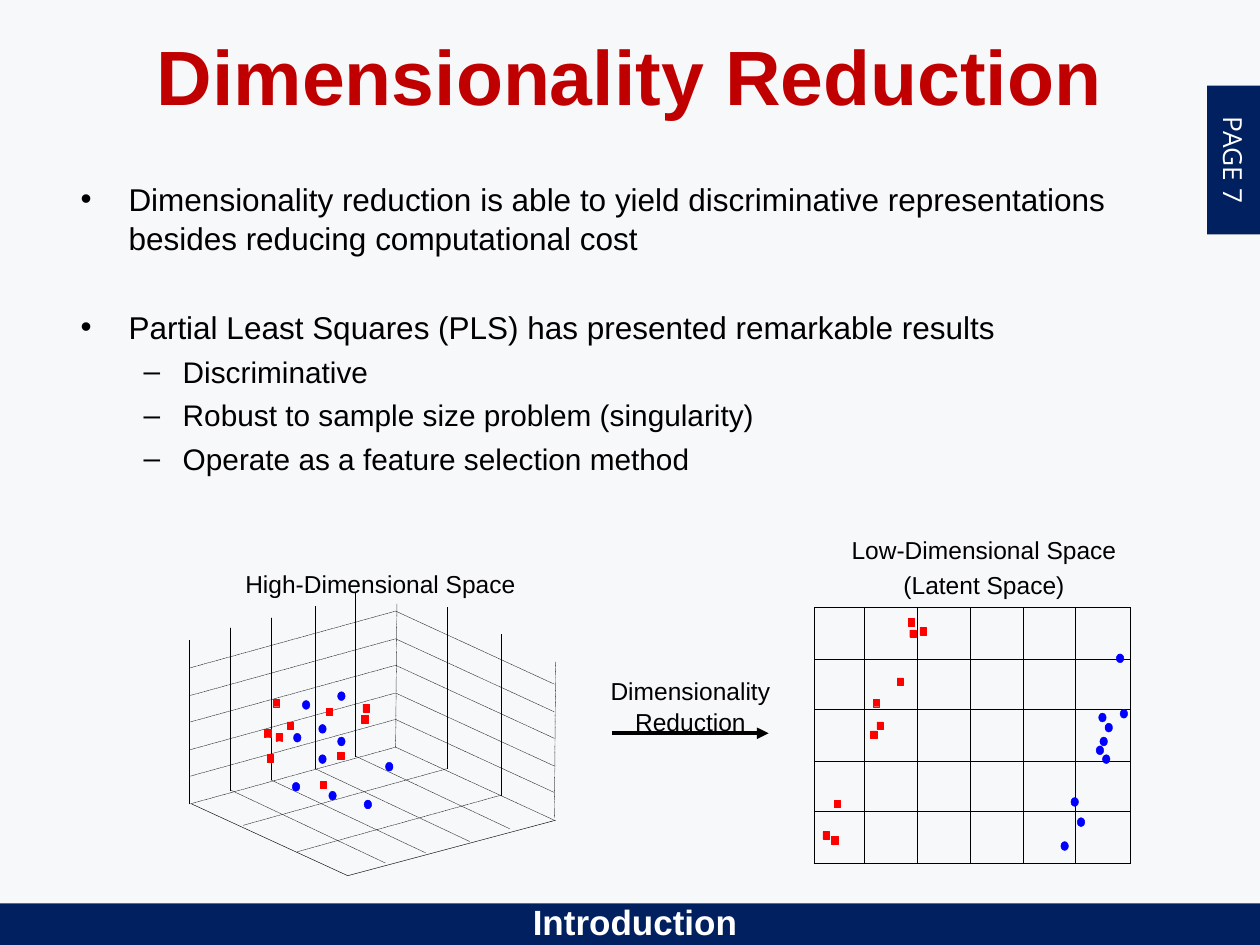
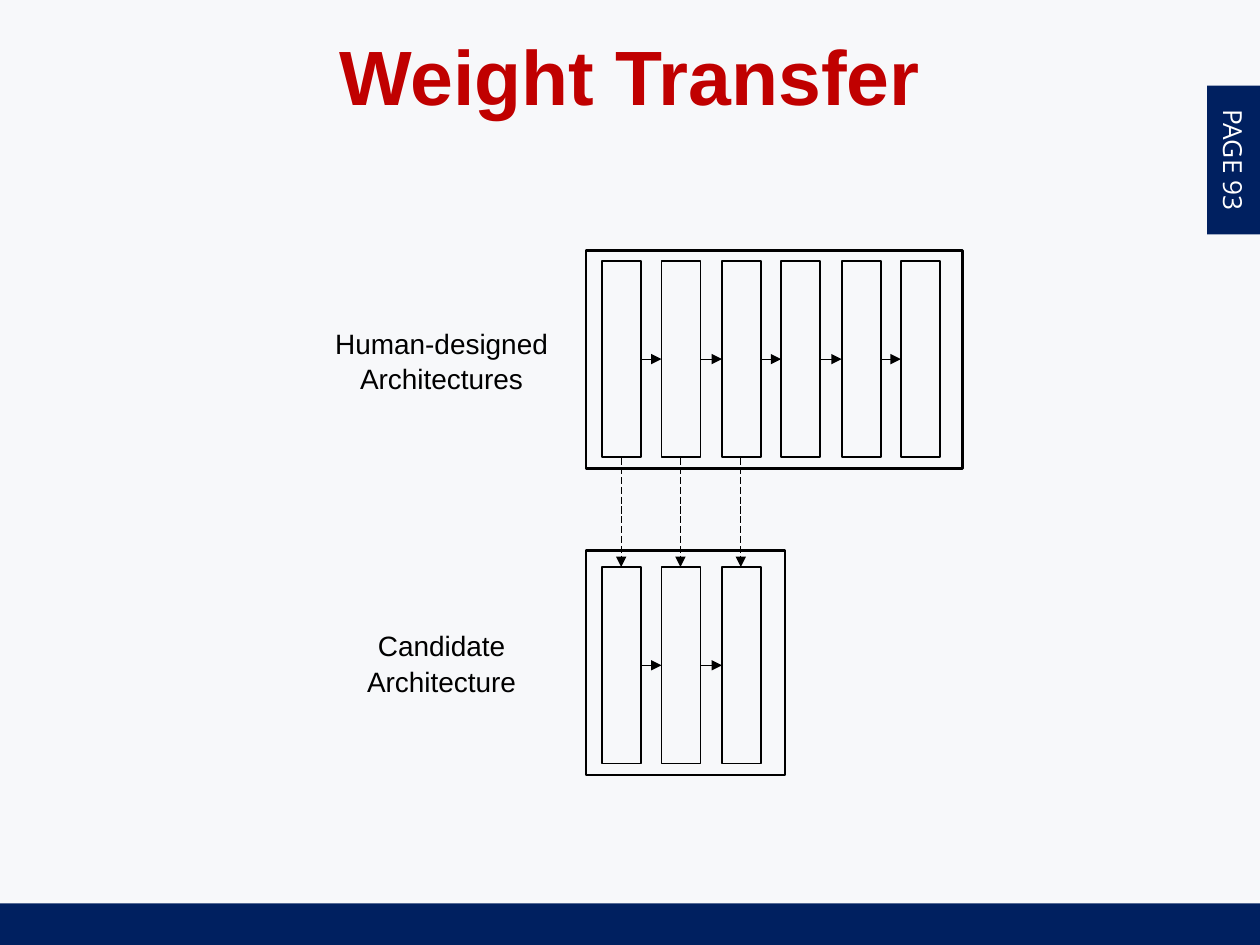
from dataclasses import dataclass

from lxml.etree import SubElement
from pptx import Presentation
from pptx.dml.color import RGBColor
from pptx.enum.dml import MSO_LINE
from pptx.enum.shapes import MSO_CONNECTOR, MSO_SHAPE
from pptx.enum.text import MSO_ANCHOR, MSO_AUTO_SIZE, PP_ALIGN
from pptx.oxml.ns import qn
from pptx.util import Emu, Pt

PX = 9144  # EMU per px, 100 px to the inch


@dataclass(frozen=True)
class Theme:
    background: str = "F7F8FA"
    band: str = "002060"
    title: str = "C00000"
    ink: str = "000000"
    white: str = "FFFFFF"
    red: str = "FF0000"
    blue: str = "0000FF"
    font: str = "Arial"
    page_font: str = "Open Sans"
    title_size: int = 44
    section_size: int = 20
    bullet_sizes: tuple = (18, 17)
    block_label_size: int = 16
    page_size: int = 15
    label_size: int = 14
    line_spacing: float = 1.05


THEME = Theme()

BULLETS = [  # level, space before in points, text
    (0, 0, "Dimensionality reduction is able to yield discriminative "
           "representations besides reducing computational cost"),
    (0, 28, "Partial Least Squares (PLS) has presented remarkable results"),
    (1, 3.4, "Discriminative"),
    (1, 3.4, "Robust to sample size problem (singularity)"),
    (1, 3.4, "Operate as a feature selection method"),
]
BULLET_INDENTS = [(38, -38), (81, -31)]

HIGH_SQUARES = [(217, 555), (219, 582), (288, 559), (287, 568), (268, 597),
                (254, 620), (259, 562), (210, 579), (212, 599), (228, 573)]
HIGH_CIRCLES = [(232, 621), (261, 628), (289, 635), (268, 585), (306, 605),
                (233, 582), (253, 599), (268, 549), (253, 575), (240, 556)]
LOW_SQUARES = [(660, 664), (653, 660), (662, 635), (691, 580), (696, 573),
               (693, 555), (712, 538), (730, 498), (722, 500), (721, 491)]
LOW_CIRCLES = [(870, 592), (855, 649), (842, 668), (850, 633), (875, 599),
               (873, 585), (877, 574), (872, 566), (889, 563), (886, 519)]


def px(*lengths):
    return [Emu(length * PX) for length in lengths]


def rgb(color):
    return RGBColor.from_string(color)


def format_runs(p, size, color=THEME.ink, bold=False, font=THEME.font):
    for r in p.runs:
        r.font.name = font
        r.font.size = Pt(size)
        r.font.bold = bold
        r.font.color.rgb = rgb(color)


def write_lines(tf, lines, size, gap=0, spacing=None, **style):
    """Fill a frame with centred lines, gap points apart."""
    tf.word_wrap = True
    tf.text = "\n".join(lines)
    for i, p in enumerate(tf.paragraphs):
        p.alignment = PP_ALIGN.CENTER
        p.line_spacing = spacing
        p.space_before = Pt(gap if i else 0)
        format_runs(p, size, **style)


def add_label(slide, box, lines, size, anchor=MSO_ANCHOR.TOP, **style):
    tf = slide.shapes.add_textbox(*px(*box)).text_frame
    write_lines(tf, lines, size, **style)
    tf.vertical_anchor = anchor


def add_box(slide, box, fill=None, line=None, width=1, kind=MSO_SHAPE.RECTANGLE):
    s = slide.shapes.add_shape(kind, *px(*box))
    s.shadow.inherit = False
    if fill:
        s.fill.solid()
        s.fill.fore_color.rgb = rgb(fill)
    else:
        s.fill.background()
    if line:
        s.line.color.rgb = rgb(line)
        s.line.width = Pt(width)
    else:
        s.line.fill.background()
    return s


def add_line(slide, start, end, width=0.25, dash=None, arrow=False):
    c = slide.shapes.add_connector(MSO_CONNECTOR.STRAIGHT, *px(*start, *end))
    c.line.color.rgb = rgb(THEME.ink)
    c.line.width = Pt(width)
    if dash:
        c.line.dash_style = dash
    if arrow:
        SubElement(c.line._get_or_add_ln(), qn("a:tailEnd"), type="triangle")
    SubElement(c._element.spPr, qn("a:effectLst"))


def add_dotted(slide, start, end):
    add_line(slide, start, end, dash=MSO_LINE.ROUND_DOT)


def add_points(slide, squares, circles):
    for x, y in squares:
        add_box(slide, (x, y, 5, 6), THEME.red, THEME.red, 0.25)
    for x, y in circles:
        add_box(slide, (x, y, 6, 7), THEME.blue, THEME.blue, 0.25, MSO_SHAPE.OVAL)


def place(s, box):
    s.left, s.top, s.width, s.height = px(*box)
    s.text_frame.auto_size = MSO_AUTO_SIZE.NONE


def add_slide(prs, layout, title, page, section=None):
    """Add a slide with its title, page tab and bottom band."""
    slide = prs.slides.add_slide(prs.slide_layouts[layout])
    place(slide.shapes.title, (50, 12, 900, 94))
    tf = slide.shapes.title.text_frame
    tf.vertical_anchor = MSO_ANCHOR.MIDDLE
    write_lines(tf, [title], THEME.title_size, color=THEME.title, bold=True)
    add_box(slide, (0, 717, 1000, 34), THEME.band)
    tab = add_box(slide, (920, 106, 118, 42), THEME.band)
    tab.rotation = 90
    write_lines(tab.text_frame, [f"PAGE {page}"], THEME.page_size,
                color=THEME.white, font=THEME.page_font)
    if section:
        add_label(slide, (337, 710, 334, 36), [section], THEME.section_size,
                  color=THEME.white, bold=True)
    return slide


def add_bullets(slide):
    body = slide.placeholders[1]
    place(body, (54, 136, 896, 297))
    tf = body.text_frame
    tf.text = "\n".join(text for _, _, text in BULLETS)
    for p, (level, gap, _) in zip(tf.paragraphs, BULLETS):
        p.level = level
        margin, indent = px(*BULLET_INDENTS[level])
        pPr = p._p.get_or_add_pPr()
        pPr.set("marL", str(margin))
        pPr.set("indent", str(indent))
        p.line_spacing = THEME.line_spacing
        p.space_before = Pt(gap)
        format_runs(p, THEME.bullet_sizes[level])


def add_high_space(slide):
    """Draw the two walls and the floor of the three-dimensional grid."""
    for start, end in [((150, 508), (150, 638)), ((152, 638), (276, 695)),
                       ((276, 695), (441, 651))]:
        add_line(slide, start, end)
    for level in range(6):
        drop = round(21.6 * level)
        add_dotted(slide, (314, 485 + drop), (151, 530 + drop))
        add_dotted(slide, (440, 543 + drop), (314, 485 + drop))
    for x, y in [(183, 627), (215, 619), (250, 610), (282, 600)]:
        add_dotted(slide, (x, y), (x, y - 129))
        add_dotted(slide, (x, y), (x + 123, y + 58))
    for x, y in [(355, 610), (398, 631)]:
        add_dotted(slide, (x, y), (x, y - 128))
        add_dotted(slide, (x, y), (x - 162, y + 45))
    add_dotted(slide, (314, 593), (315, 479))
    add_dotted(slide, (440, 649), (441, 525))
    add_points(slide, HIGH_SQUARES, HIGH_CIRCLES)


def add_low_space(slide):
    left, right, top, bottom = 646, 897, 482, 685
    add_line(slide, (left, bottom), (right, bottom))
    add_line(slide, (left, bottom), (left, top))
    for x in (686, 728, 770, 812, 853, right):
        add_dotted(slide, (x, bottom), (x, top))
    for row in range(5):
        y = top + round(40.6 * row)
        add_dotted(slide, (right, y), (left, y))
    add_points(slide, LOW_SQUARES, LOW_CIRCLES)


def add_architecture(slide, frame, layers_top, layer_count):
    """Draw a framed chain of layers; return the layer centres."""
    add_box(slide, frame, line=THEME.ink, width=1.5)
    layer_w, layer_h = 31, 156
    lefts = [478 + round(47.4 * i) for i in range(layer_count)]
    for x in lefts:
        add_box(slide, (x, layers_top, layer_w, layer_h), line=THEME.ink)
    middle = layers_top + layer_h // 2
    for x, following in zip(lefts, lefts[1:]):
        add_line(slide, (x + layer_w, middle), (following, middle), 0.5, arrow=True)
    return [x + layer_w // 2 for x in lefts]


def add_dimensionality_slide(prs):
    slide = add_slide(prs, 1, "Dimensionality Reduction", 7, "Introduction")
    add_bullets(slide)
    add_line(slide, (486, 582), (610, 582), 2.25, arrow=True)
    add_label(slide, (466, 545, 164, 30), ["Dimensionality", "Reduction"],
              THEME.label_size, MSO_ANCHOR.MIDDLE, spacing=THEME.line_spacing)
    add_high_space(slide)
    add_label(slide, (178, 447, 248, 36), ["High-Dimensional Space"],
              THEME.label_size)
    add_low_space(slide)
    add_label(slide, (657, 420, 248, 36),
              ["Low-Dimensional Space", "(Latent Space)"],
              THEME.label_size, gap=2.8)


def add_weight_slide(prs):
    slide = add_slide(prs, 5, "Weight Transfer", 93)
    for top, lines in [(253, ["Human-designed", "Architectures"]),
                       (493, ["Candidate", "Architecture"])]:
        add_label(slide, (237, top, 227, 65), lines, THEME.block_label_size,
                  spacing=THEME.line_spacing)
    add_architecture(slide, (465, 199, 299, 173), 207, 6)
    for x in add_architecture(slide, (465, 437, 158, 178), 450, 3):
        add_line(slide, (x, 363), (x, 450), 0.5, MSO_LINE.LONG_DASH, arrow=True)


def main():
    prs = Presentation()
    prs.slide_width, prs.slide_height = px(1000, 750)
    fill = prs.slide_master.background.fill
    fill.solid()
    fill.fore_color.rgb = rgb(THEME.background)
    add_dimensionality_slide(prs)
    add_weight_slide(prs)
    prs.save("out.pptx")


if __name__ == "__main__":
    main()
